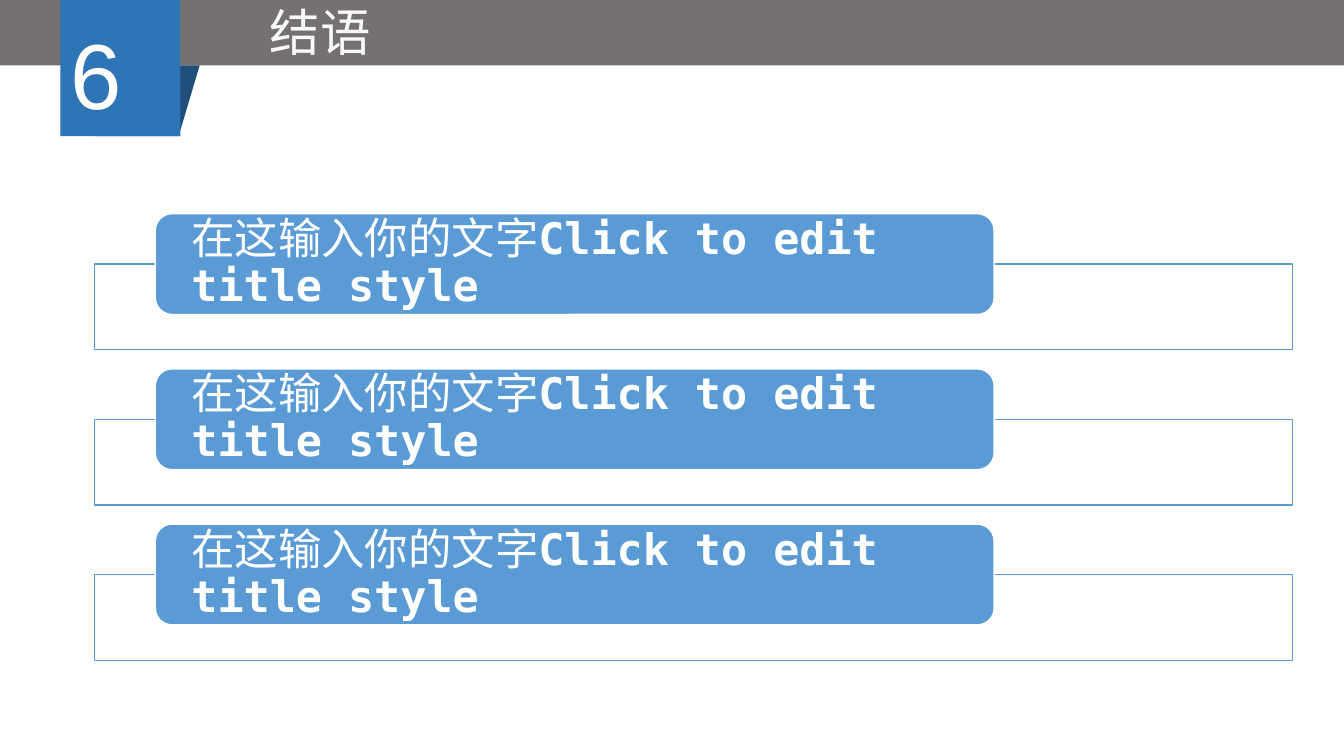
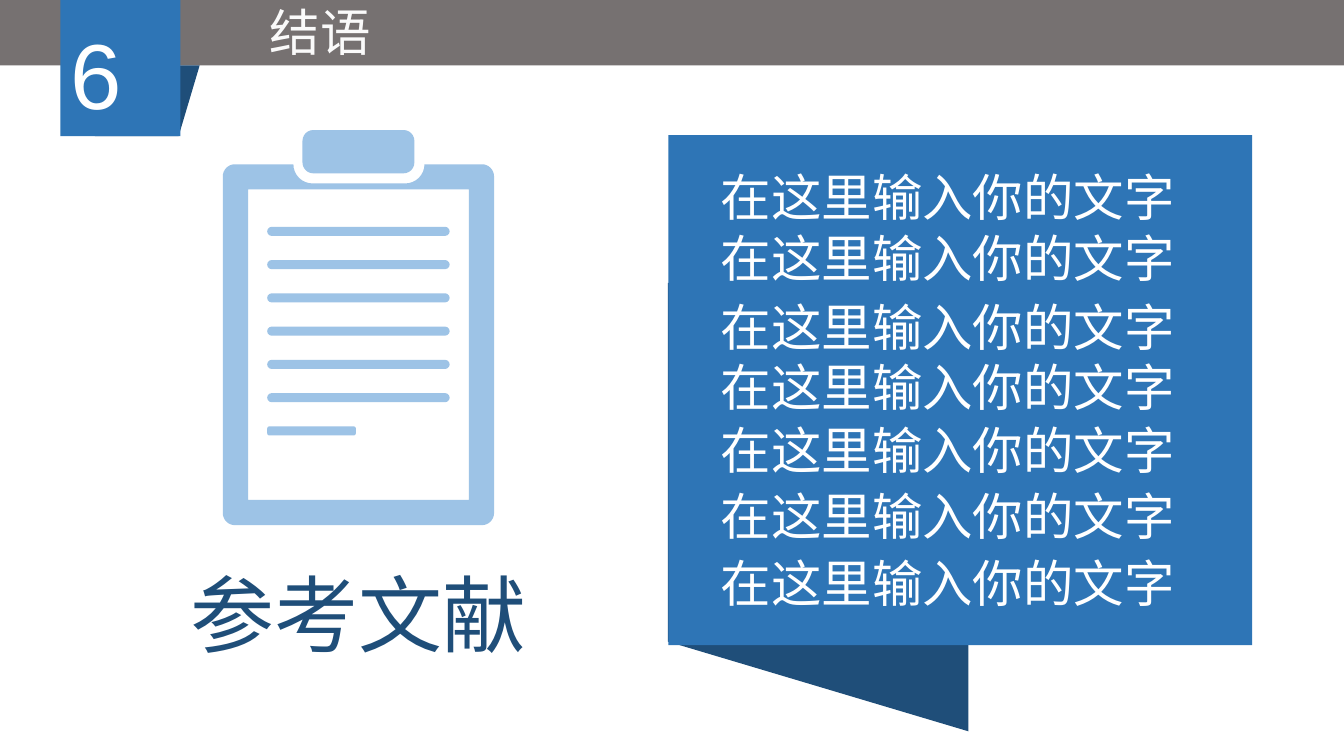
from math import cos, radians, sin

from lxml.etree import SubElement
from pptx import Presentation
from pptx.dml.color import RGBColor
from pptx.enum.shapes import MSO_SHAPE as Kind
from pptx.enum.text import MSO_ANCHOR as Anchor
from pptx.enum.text import MSO_AUTO_SIZE as Fit
from pptx.enum.text import PP_ALIGN as Align
from pptx.oxml.ns import qn
from pptx.util import Inches, Pt

GRAY = RGBColor(0x76, 0x71, 0x71)
PALE = RGBColor(0xFA, 0xFA, 0xFA)
WHITE = RGBColor(0xFF, 0xFF, 0xFF)
NAVY = RGBColor(0x1F, 0x4E, 0x79)
BLUE = RGBColor(0x2E, 0x75, 0xB6)
SKY = RGBColor(0x5B, 0x9B, 0xD5)
MIST = RGBColor(0x9D, 0xC3, 0xE6)

HEAD = {"name": "Arial", "size": Pt(36), "color": PALE}
DIGIT = {"name": "Arial", "size": Pt(66), "color": WHITE}
ITEM = {"name": "Calibri", "size": Pt(31), "color": WHITE}
CODE = {"name": "DejaVu Sans Mono", "size": Pt(31), "bold": True, "color": WHITE}
LIST = {"name": "Arial", "size": Pt(36), "color": WHITE}
LABEL = {"name": "Arial", "size": Pt(60), "color": NAVY}


def draw(slide, kind, box, fill, line=None, bend=None):
    """Add a flat preset shape; box is left, top, width, height in inches."""
    shape = slide.shapes.add_shape(kind, *map(Inches, box))
    shape.shadow.inherit = False
    shape.fill.solid()
    shape.fill.fore_color.rgb = fill
    if line is None:
        shape.line.fill.background()
    else:
        shape.line.color.rgb = line
        shape.line.width = Pt(1)
    if bend is not None:
        shape.adjustments[0] = bend
    return shape


def write(para, text, look):
    """Add a run of text in the given look."""
    run = para.add_run()
    run.text = text
    for key, value in look.items():
        if key == "color":
            run.font.color.rgb = value
        else:
            setattr(run.font, key, value)


deck = Presentation()
deck.slide_width, deck.slide_height = Inches(13.33), Inches(7.5)
close = deck.slides.add_slide(deck.slide_layouts[5])
refs = deck.slides.add_slide(deck.slide_layouts[1])

# Shared header: band, title and numbered badge
for slide in (close, refs):
    band = draw(slide, Kind.RECTANGLE, (0, -0.01, 13.33, 0.66), GRAY)
    title = slide.shapes.title
    band.element.addnext(title.element)
    title.left, title.top, title.width, title.height = map(Inches, (1.47, -0.04, 3.41, 0.71))
    frame = title.text_frame
    frame.auto_size, frame.vertical_anchor = Fit.NONE, Anchor.TOP
    frame.paragraphs[0].alignment = Align.CENTER
    write(frame.paragraphs[0], "结语", HEAD)

    draw(slide, Kind.FLOWCHART_DATA, (0.94, 0.65, 1.04, 0.7), NAVY)
    badge = draw(slide, Kind.RECTANGLE, (0.6, 0, 1.19, 1.35), BLUE)
    frame = badge.text_frame
    frame.vertical_anchor, frame.margin_top = Anchor.MIDDLE, Inches(0.13)
    frame.paragraphs[0].alignment = Align.LEFT
    write(frame.paragraphs[0], "6", DIGIT)

# Closing points
for i in range(3):
    top = 2.12 + 1.54 * i
    draw(close, Kind.RECTANGLE, (0.94, top + 0.5, 11.88, 0.85), WHITE, SKY)
    pill = draw(close, Kind.ROUNDED_RECTANGLE, (1.54, top, 8.32, 1), SKY, WHITE)
    frame = pill.text_frame
    frame.word_wrap, frame.vertical_anchor = True, Anchor.MIDDLE
    frame.margin_left = frame.margin_right = Inches(0.31)
    frame.margin_top = frame.margin_bottom = 0
    para = frame.paragraphs[0]
    para.alignment, para.line_spacing = Align.LEFT, 0.9
    write(para, "在这输入你的文字", ITEM)
    write(para, "Click to edit title style", CODE)

# Reference panel and its list
fold = draw(refs, Kind.FLOWCHART_DATA, (5.89, 3.54, 4.45, 2.98), NAVY)
fold.rotation = 270
panel = draw(refs, Kind.RECTANGLE, (6.63, 1.34, 5.79, 5.06), BLUE)
body = refs.placeholders[1]
panel.element.addnext(body.element)
body.left, body.top, body.width, body.height = map(Inches, (7.05, 1.6, 5.2, 4.6))
frame = body.text_frame
frame.auto_size, frame.vertical_anchor = Fit.NONE, Anchor.TOP
for i, gap in enumerate((0, 0, 6, 0, 2, 4, 4)):
    para = frame.add_paragraph() if i else frame.paragraphs[0]
    para.space_before = Pt(gap)
    props = para._p.get_or_add_pPr()
    props.set("marL", "0")
    props.set("indent", "0")
    SubElement(props, qn("a:buNone"))
    write(para, "在这里输入你的文字", LIST)

# Clipboard board: corner centre x, y, radius, start and end angle
bends = [
    (2.33, 1.75, 0.12, 180, 270),
    (3.1, 1.63, 0.19, 180, 90),
    (4.02, 1.63, 0.19, 90, 0),
    (4.78, 1.75, 0.12, 270, 360),
    (4.78, 5.09, 0.12, 0, 90),
    (2.33, 5.09, 0.12, 90, 180),
]
rim = []
for x, y, r, start, end in bends:
    for step in range(9):
        turn = radians(start + (end - start) * step / 8)
        rim.append((Inches(x + r * cos(turn)), Inches(y + r * sin(turn))))
left, top, right, low = map(Inches, (2.46, 1.88, 4.65, 4.96))
pen = refs.shapes.build_freeform(*rim[0])
pen.add_line_segments(rim[1:], close=True)
pen.move_to(right, low)
pen.add_line_segments([(left, low), (left, top), (right, top)], close=True)
board = pen.convert_to_shape()
board.shadow.inherit = False
board.fill.solid()
board.fill.fore_color.rgb = MIST
board.line.fill.background()

draw(refs, Kind.ROUNDED_RECTANGLE, (3, 1.29, 1.11, 0.43), MIST, bend=0.25)
for i in range(7):
    wide, bend = (0.88, 0.25) if i == 6 else (1.81, 0.5)
    draw(refs, Kind.ROUNDED_RECTANGLE, (2.65, 2.25 + 0.33 * i, wide, 0.09), MIST, bend=bend)

label = refs.shapes.add_textbox(*map(Inches, (1.79, 5.53, 3.92, 1.11)))
label.text_frame.word_wrap = True
write(label.text_frame.paragraphs[0], "参考文献", LABEL)

deck.save("out.pptx")
